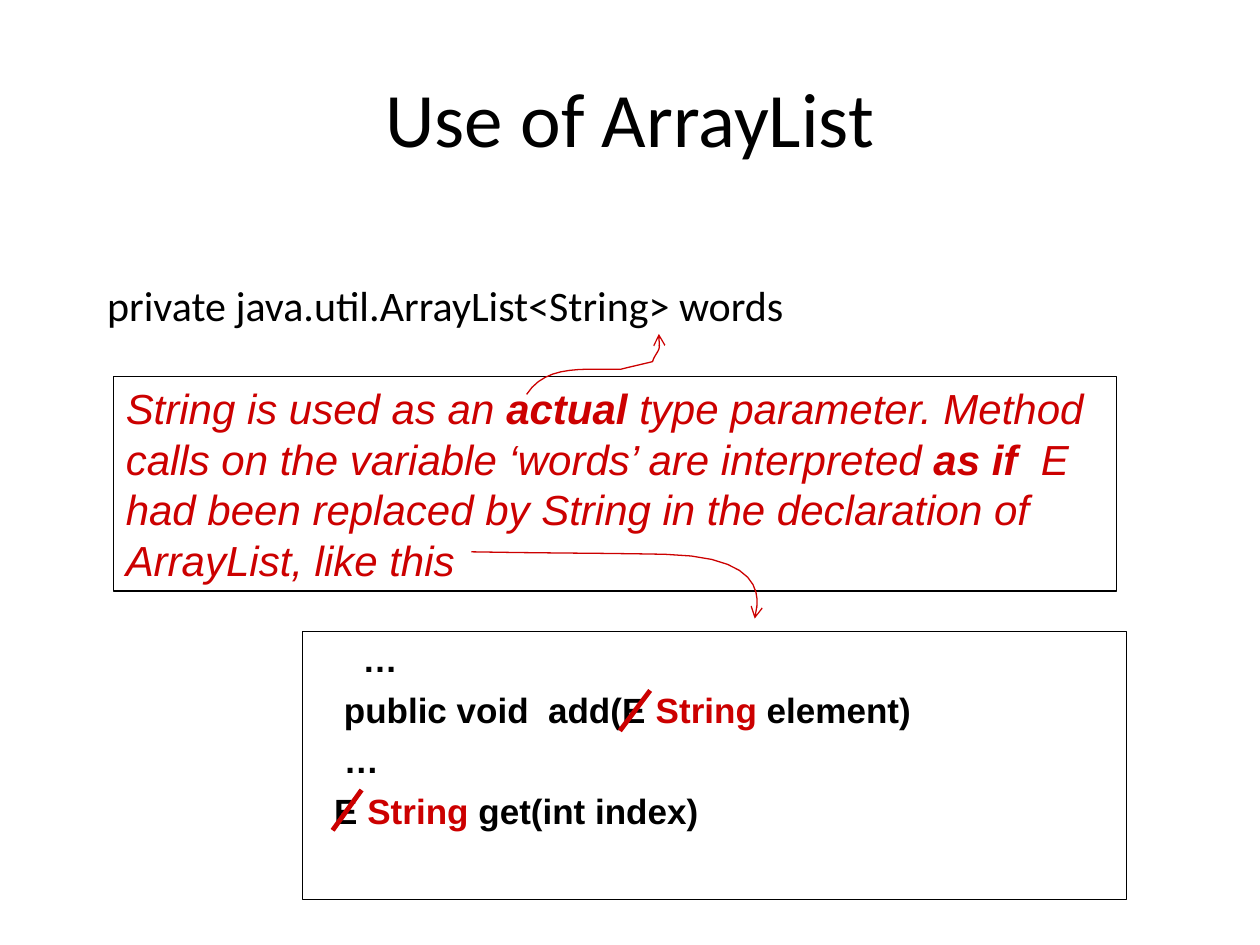
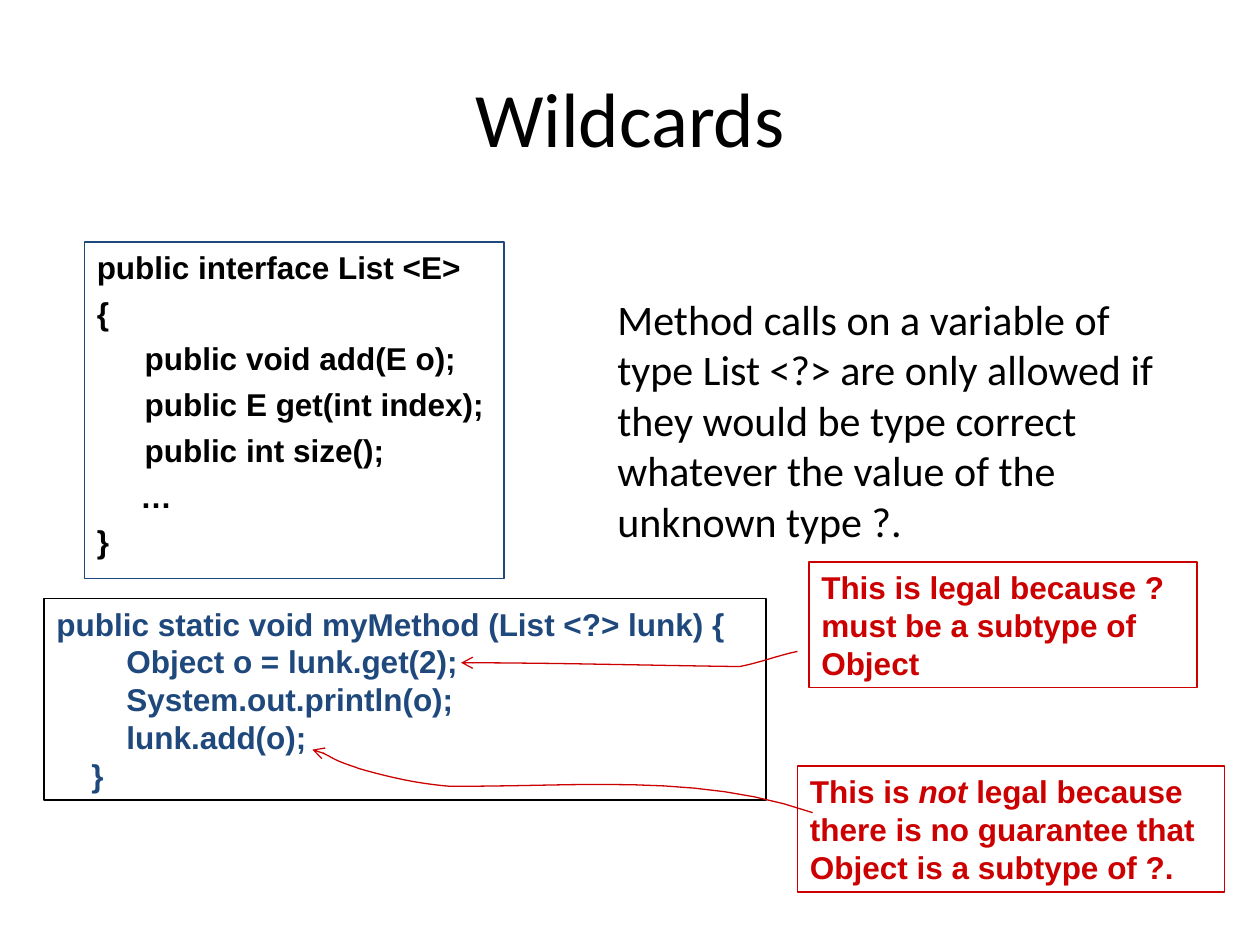
import pptx
import pptx.util
import pptx.dml.color
import pptx.enum.shapes
import pptx.enum.text
import pptx.oxml.ns
from lxml import etree

Inches, Pt = pptx.util.Inches, pptx.util.Pt
RGBColor = pptx.dml.color.RGBColor
qn = pptx.oxml.ns.qn

BLACK = RGBColor(0x00, 0x00, 0x00)
RED = RGBColor(0xCC, 0x00, 0x00)
NAVY = RGBColor(0x1F, 0x49, 0x7D)

TITLE = {"name": "Calibri", "size": Pt(44), "color": BLACK}
BODY = {"name": "Calibri", "size": Pt(24), "color": BLACK}
REMARK = {"name": "Arial", "size": Pt(24), "color": RED, "italic": True}
CODE = {"name": "Arial", "size": Pt(18), "color": BLACK, "bold": True}
BIG_CODE = {**CODE, "size": Pt(20)}
METHOD = {**CODE, "color": NAVY}
NOTE = {**CODE, "color": RED}

HANG = 0.38
CURVE_STEPS = 12


def write(tf, paragraphs, style, margin=0, indent=0, gap=0):
    """Fill tf; a paragraph is a list of (text, changes to style) runs."""
    tf.word_wrap = True
    tf.auto_size = pptx.enum.text.MSO_AUTO_SIZE.NONE
    for i, runs in enumerate(paragraphs):
        p = tf.add_paragraph() if i else tf.paragraphs[0]
        pPr = p._p.get_or_add_pPr()
        pPr.set("marL", str(Inches(margin)))
        pPr.set("indent", str(Inches(indent)))
        etree.SubElement(pPr, qn("a:buNone"))
        p.space_before = Pt(gap if i else 0)
        for text, changes in runs:
            r = p.add_run()
            r.text = text
            for key, value in {**style, **changes}.items():
                if key == "color":
                    r.font.color.rgb = value
                else:
                    setattr(r.font, key, value)


def bezier(a, b, c, d):
    """Return points along a cubic curve, without its first point."""
    points = []
    for k in range(1, CURVE_STEPS + 1):
        t = k / CURVE_STEPS
        u = 1 - t
        points.append(tuple(
            Inches(u**3 * a[n] + 3 * u * u * t * b[n] + 3 * u * t * t * c[n] + t**3 * d[n])
            for n in (0, 1)))
    return points


# Each box: place, line colour, text style, paragraph format, paragraphs.
# Each arrow: start point followed by three points for every curve.
slides = [
    {
        "title": "Use of ArrayList",
        "body": "private java.util.ArrayList<String> words",
        "body_at": (0.75, 2.17, 8.5, 0.64),
        "body_indent": -HANG,
        "body_top": 0.05,
        "boxes": [
            ((0.9, 2.99, 7.96, 1.7), BLACK, REMARK, {}, [[
                ("String is used as an ", {}),
                ("actual ", {"bold": True}),
                ("type parameter. Method calls on the variable ‘words’ are interpreted ", {}),
                ("as if", {"bold": True}),
                ("  E had been replaced by String in the declaration of ArrayList, like this", {}),
            ]]),
            ((2.4, 5.01, 6.54, 2.13), BLACK, BIG_CODE,
             {"margin": HANG, "indent": -HANG, "gap": 5}, [
                [("\t…", {})],
                [("   public void  add(E ", {}), ("String", {"color": RED}), (" element)", {})],
                [("   …", {})],
                [("  E ", {}), ("String", {"color": RED}), (" get(int index)", {})],
            ]),
        ],
        "strikes": [(4.92, 5.8, 5.16, 5.48), (2.64, 6.59, 2.87, 6.27)],
        "arrows": [
            [(4.18, 3.13), (4.34, 2.88), (4.67, 2.94), (4.93, 2.93),
             (5.01, 2.91), (5.1, 2.89), (5.18, 2.87),
             (5.19, 2.83), (5.22, 2.8), (5.23, 2.77),
             (5.24, 2.73), (5.23, 2.69), (5.23, 2.65)],
            [(3.74, 4.38), (4.25, 4.39), (4.77, 4.39), (5.28, 4.4),
             (6.19, 4.42), (5.99, 4.85), (5.99, 4.91)],
        ],
    },
    {
        "title": "Wildcards",
        "body": "Method calls on a variable of type List <?> are only allowed if they "
                "would be type correct whatever the value of the unknown type ?.",
        "body_at": (4.42, 2.17, 5.08, 2.33),
        "body_indent": 0,
        "body_top": 0.16,
        "boxes": [
            ((0.67, 1.92, 3.33, 2.67), NAVY, CODE,
             {"margin": HANG, "indent": -HANG, "gap": 4.5}, [[(line, {})] for line in (
                "public interface List <E>",
                "{",
                "\tpublic void add(E o);",
                "\tpublic E get(int index);",
                "\tpublic int size();",
                "     …",
                "}")]),
            ((0.35, 4.75, 5.73, 1.6), BLACK, METHOD, {}, [[(line, {})] for line in (
                "public static void myMethod (List <?> lunk) {",
                "        Object o = lunk.get(2);",
                "        System.out.println(o);",
                "        lunk.add(o);",
                "    }")]),
            ((6.42, 4.46, 3.08, 1), RED, NOTE, {}, [
                [("This is legal because ? must be a subtype of Object", {})]]),
            ((6.33, 6.08, 3.39, 1), RED, NOTE, {}, [[
                ("This is ", {}),
                ("not ", {"italic": True}),
                ("legal because there is no guarantee that Object is a subtype of ?.", {}),
            ]]),
        ],
        "strikes": [],
        "arrows": [
            [(6.45, 6.45), (5.53, 6.13), (4.55, 6.25), (3.56, 6.24),
             (3.32, 6.22), (3.09, 6.17), (2.85, 6.1),
             (2.77, 6.07), (2.69, 6.05), (2.61, 6),
             (2.56, 5.98), (2.54, 5.95), (2.48, 5.95)],
            [(6.33, 5.17), (6.18, 5.2), (6.03, 5.26), (5.87, 5.29),
             (5.08, 5.28), (4.4, 5.26), (3.66, 5.26)],
        ],
    },
]

prs = pptx.Presentation()
prs.slide_width, prs.slide_height = Inches(10), Inches(7.5)

for content in slides:
    s = prs.slides.add_slide(prs.slide_layouts[1])
    title, body = s.placeholders
    for sp, at in ((title, (0.5, 0.3, 9, 1.25)), (body, content["body_at"])):
        sp.left, sp.top, sp.width, sp.height = map(Inches, at)
    write(title.text_frame, [[(content["title"], {})]], TITLE)
    title.text_frame.paragraphs[0].alignment = pptx.enum.text.PP_ALIGN.CENTER
    title.text_frame.vertical_anchor = pptx.enum.text.MSO_ANCHOR.MIDDLE
    body.text_frame.margin_top = Inches(content["body_top"])
    write(body.text_frame, [[(content["body"], {})]], BODY, HANG, content["body_indent"])

    for at, color, style, layout, paragraphs in content["boxes"]:
        sp = s.shapes.add_shape(pptx.enum.shapes.MSO_SHAPE.RECTANGLE, *map(Inches, at))
        sp.shadow.inherit = False
        sp.fill.background()
        sp.line.color.rgb = color
        sp.line.width = Pt(0.75)
        tf = sp.text_frame
        tf.vertical_anchor = pptx.enum.text.MSO_ANCHOR.TOP
        write(tf, paragraphs, style, **layout)
        for p in tf.paragraphs:
            p.alignment = pptx.enum.text.PP_ALIGN.LEFT

    for ends in content["strikes"]:
        strike = s.shapes.add_connector(
            pptx.enum.shapes.MSO_CONNECTOR.STRAIGHT, *map(Inches, ends))
        strike.line.color.rgb = RED
        strike.line.width = Pt(2.75)
        etree.SubElement(strike._element.spPr, qn("a:effectLst"))

    for points in content["arrows"]:
        builder = s.shapes.build_freeform(*map(Inches, points[0]))
        for i in range(0, len(points) - 1, 3):
            builder.add_line_segments(bezier(*points[i:i + 4]), close=False)
        arrow = builder.convert_to_shape()
        arrow.shadow.inherit = False
        arrow.fill.background()
        arrow.line.color.rgb = RED
        arrow.line.width = Pt(0.75)
        ln = arrow._element.spPr.find(qn("a:ln"))
        etree.SubElement(ln, qn("a:tailEnd"), type="arrow")

prs.save("out.pptx")
